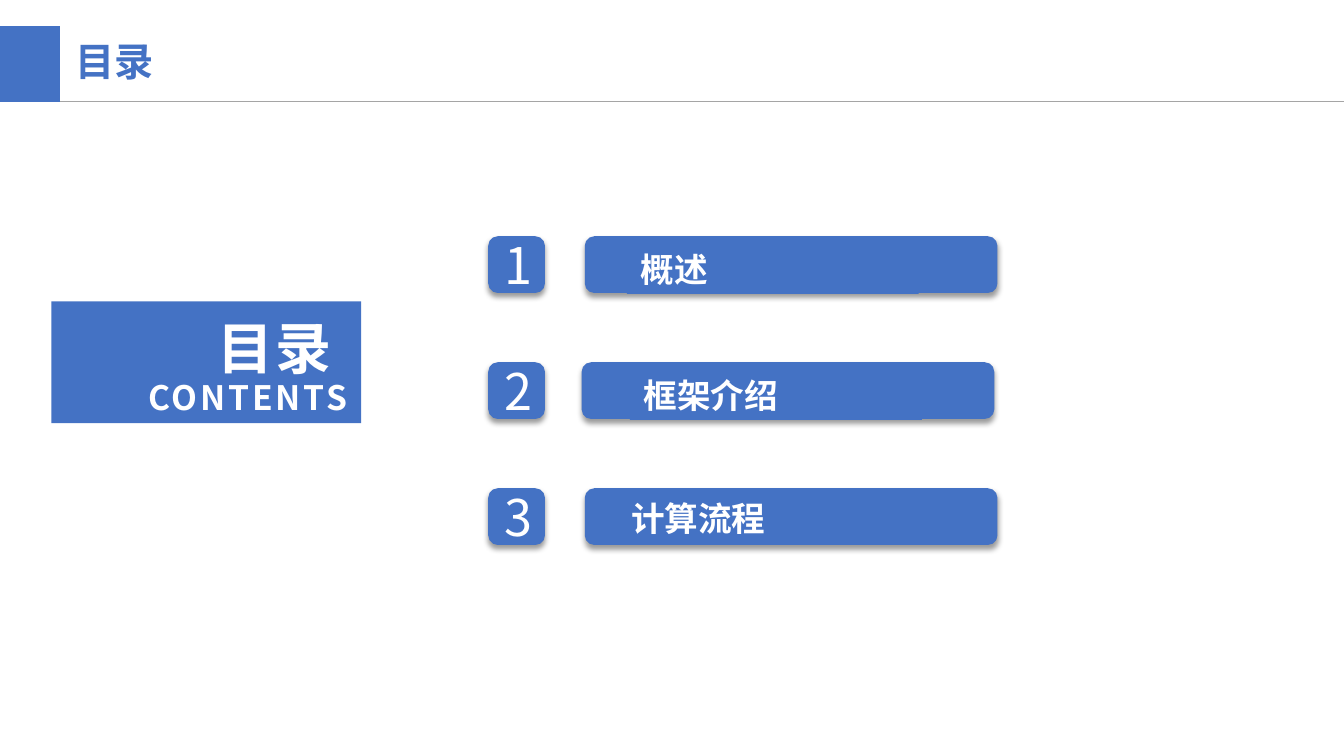
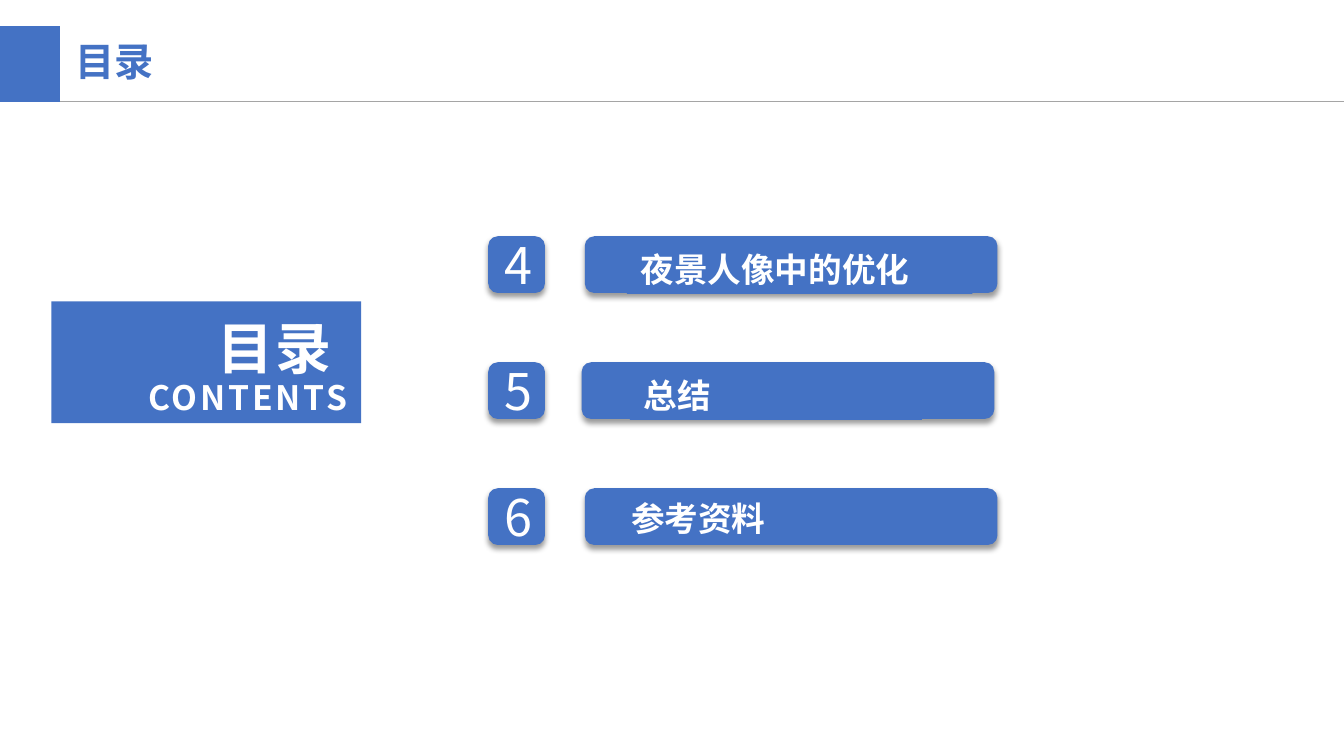
import pptx
import pptx.dml.color
import pptx.enum.shapes
import pptx.enum.text
import pptx.oxml
import pptx.oxml.ns
import pptx.util
from lxml import etree

PX = 9525
WIDTH, HEIGHT = 1280, 720
BLUE = pptx.dml.color.RGBColor(0x44, 0x72, 0xC4)
GRAY = pptx.dml.color.RGBColor(0xA5, 0xA5, 0xA5)
WHITE = pptx.dml.color.RGBColor(0xFF, 0xFF, 0xFF)
CJK_FONT = "Noto Sans CJK SC"
SHAPE = pptx.enum.shapes.MSO_SHAPE
ALIGN = pptx.enum.text.PP_ALIGN
ANCHOR = pptx.enum.text.MSO_ANCHOR
Pt = pptx.util.Pt

TITLE = {"size": Pt(28), "bold": True, "name": "Arial"}
NUMBER = {"size": Pt(36), "bold": False, "name": CJK_FONT}
ENTRY = {"size": Pt(24), "bold": True, "name": CJK_FONT}
HEADING = {"size": Pt(40), "bold": True, "name": CJK_FONT}

ROW_TOP, ROW_PITCH, ROW_HEIGHT = 225, 120, 54
ROWS = [
    {"bar_left": 557, "label_left": 597, "label_drop": 3},
    {"bar_left": 554, "label_left": 600, "label_drop": 3},
    {"bar_left": 557, "label_left": 588, "label_drop": 0},
]
AGENDAS = [
    [("1", "概述", 278), ("2", "框架介绍", 278), ("3", "计算流程", 350)],
    [("4", "夜景人像中的优化", 329), ("5", "总结", 278), ("6", "参考资料", 350)],
]


def emu(*lengths):
    return [length * PX for length in lengths]


def add_effects(element, shadow=False):
    properties = element.spPr
    effects = etree.SubElement(properties, pptx.oxml.ns.qn("a:effectLst"))
    if shadow:
        outer = etree.SubElement(
            effects, pptx.oxml.ns.qn("a:outerShdw"),
            blurRad=str(Pt(4)), dist=str(Pt(3)), dir="5400000",
            algn="t", rotWithShape="0")
        color = etree.SubElement(
            outer, pptx.oxml.ns.qn("a:srgbClr"), val="000000")
        etree.SubElement(color, pptx.oxml.ns.qn("a:alpha"), val="40000")


def add_block(shapes, kind, box, shadow=False):
    block = shapes.add_shape(kind, *emu(*box))
    block.fill.solid()
    block.fill.fore_color.rgb = BLUE
    block.line.fill.background()
    if shadow:
        add_effects(block._element, shadow=True)
    else:
        block.shadow.inherit = False
    return block


def set_frame(frame, anchor=ANCHOR.TOP, inset_x=13, inset_y=6):
    frame.word_wrap = True
    frame.vertical_anchor = anchor
    frame.margin_left = frame.margin_right = inset_x * PX
    frame.margin_top = frame.margin_bottom = inset_y * PX


def write(paragraph, text, style, color=WHITE, align=ALIGN.LEFT,
          line_spacing=None, tracking=None):
    paragraph.alignment = align
    paragraph.line_spacing = line_spacing
    run = paragraph.add_run()
    run.text = text
    for attribute, value in style.items():
        setattr(run.font, attribute, value)
    run.font.color.rgb = color
    properties = run._r.get_or_add_rPr()
    etree.SubElement(
        properties, pptx.oxml.ns.qn("a:ea"), typeface=CJK_FONT)
    if tracking:
        properties.set("spc", str(tracking * 100))


def add_header(slide, title):
    rule = slide.shapes.add_connector(
        pptx.enum.shapes.MSO_CONNECTOR.STRAIGHT, *emu(0, 97, WIDTH, 97))
    rule.line.color.rgb = GRAY
    rule.line.width = Pt(0.5)
    add_effects(rule._element)
    add_block(slide.shapes, SHAPE.RECTANGLE, (0, 25, 57, 72))
    frame = slide.shapes.add_textbox(*emu(62, 36, 501, 55)).text_frame
    set_frame(frame, inset_x=10, inset_y=5)
    write(frame.paragraphs[0], title, TITLE, BLUE, line_spacing=0.9)


def add_contents_panel(slide):
    panel = add_block(slide.shapes, SHAPE.RECTANGLE, (49, 287, 295, 116))
    frame = panel.text_frame
    set_frame(frame)
    write(frame.paragraphs[0], "目录 ", HEADING, align=ALIGN.RIGHT,
          line_spacing=Pt(52), tracking=2)
    write(frame.add_paragraph(), "CONTENTS", ENTRY, align=ALIGN.RIGHT,
          line_spacing=Pt(26.5), tracking=2)


def add_entry(slide, top, row, number, text, label_width):
    badge = add_block(slide.shapes, SHAPE.ROUNDED_RECTANGLE,
                      (465, top, ROW_HEIGHT, ROW_HEIGHT), shadow=True)
    set_frame(badge.text_frame, ANCHOR.MIDDLE)
    write(badge.text_frame.paragraphs[0], number, NUMBER, align=ALIGN.CENTER)
    entry = slide.shapes.add_group_shape()
    add_block(entry.shapes, SHAPE.ROUNDED_RECTANGLE,
              (row["bar_left"], top, 393, ROW_HEIGHT), shadow=True)
    label = add_block(
        entry.shapes, SHAPE.RECTANGLE,
        (row["label_left"], top + row["label_drop"], label_width, 52))
    set_frame(label.text_frame)
    write(label.text_frame.paragraphs[0], text, ENTRY, line_spacing=Pt(31))


def main():
    deck = pptx.Presentation()
    deck.slide_width, deck.slide_height = emu(WIDTH, HEIGHT)
    for agenda in AGENDAS:
        slide = deck.slides.add_slide(deck.slide_layouts[6])
        add_header(slide, "目录")
        add_contents_panel(slide)
        for index, (row, entry) in enumerate(zip(ROWS, agenda)):
            add_entry(slide, ROW_TOP + index * ROW_PITCH, row, *entry)
    deck.save("out.pptx")


if __name__ == "__main__":
    main()
